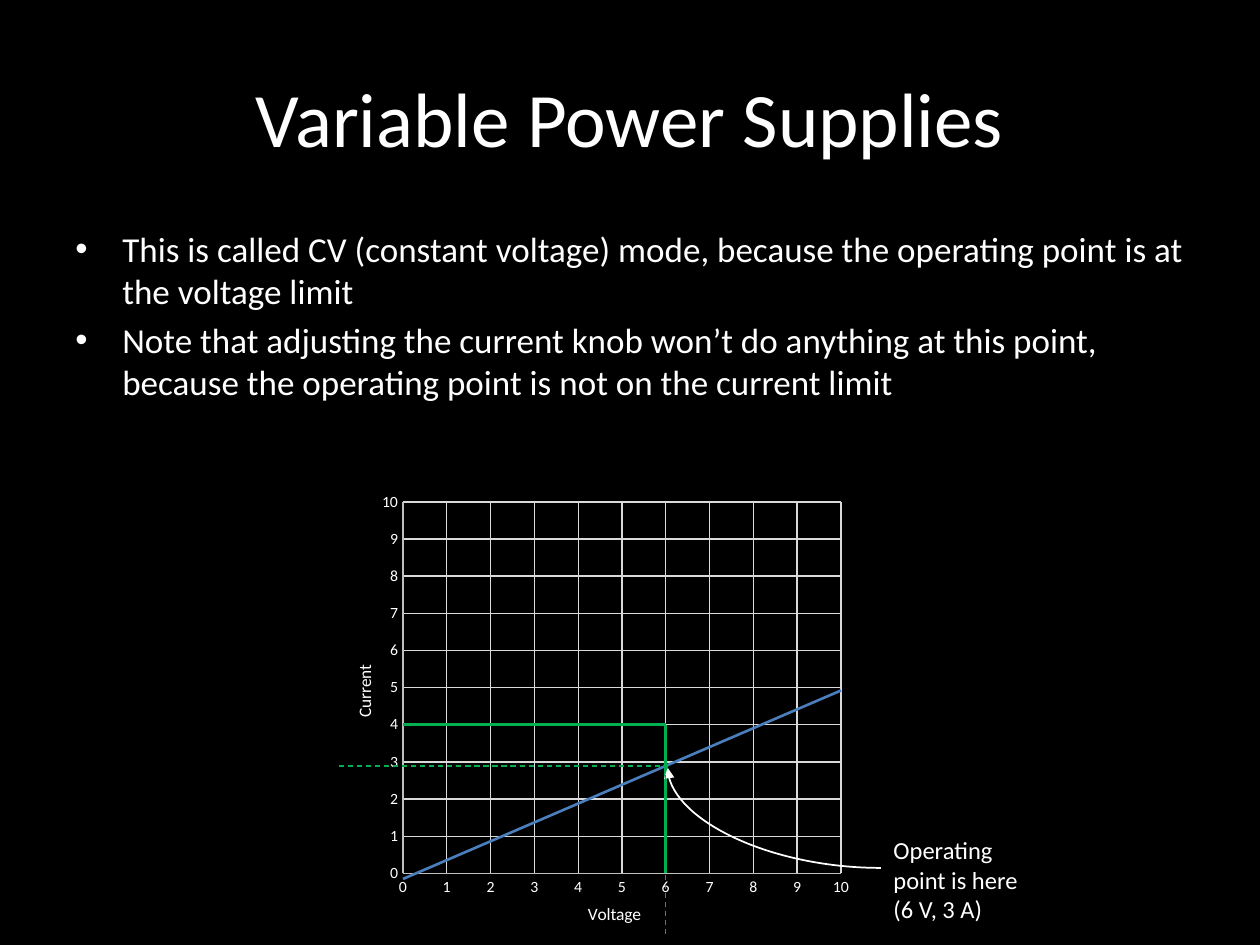
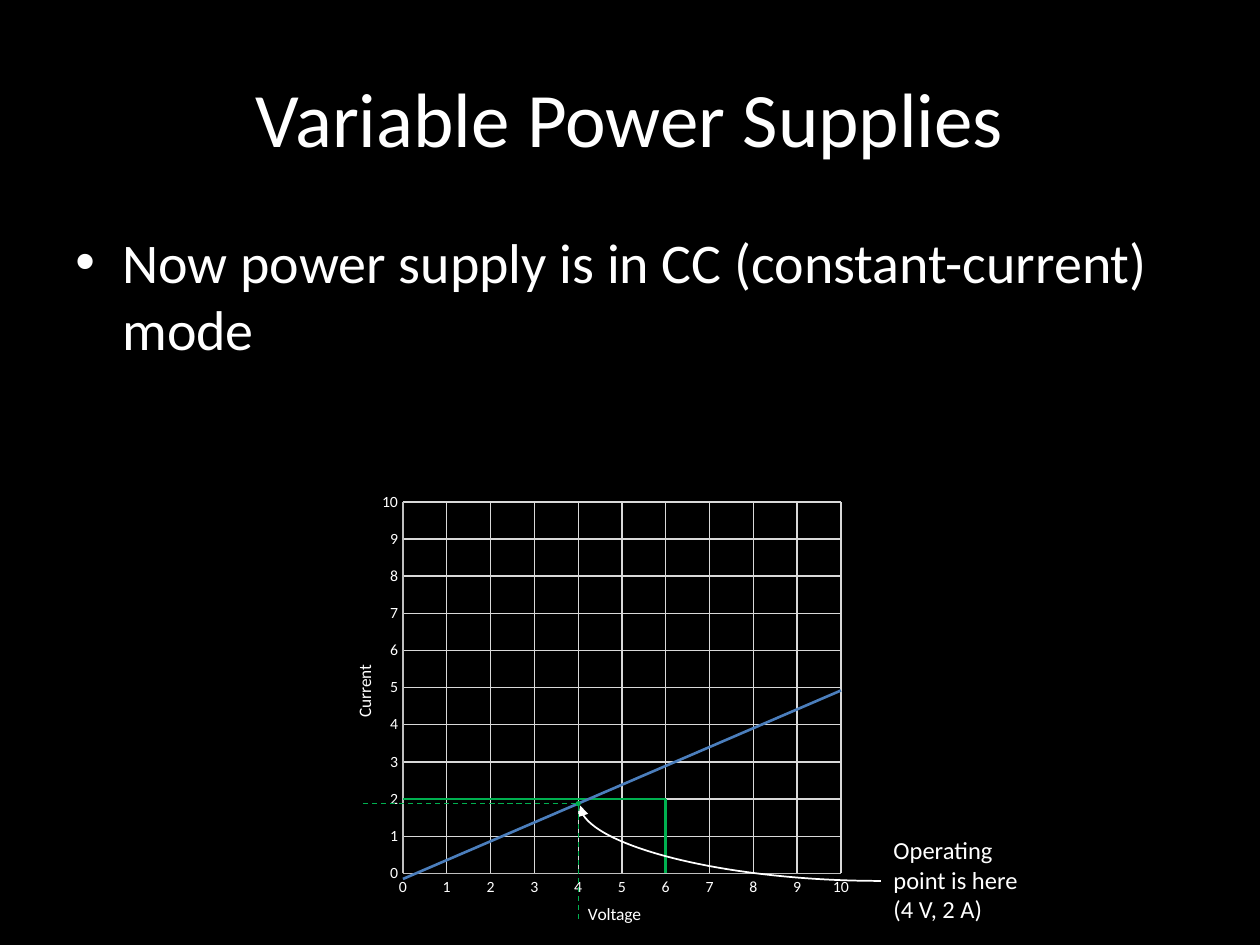
from pptx import Presentation, util as u
from pptx.chart.data import XyChartData
from pptx.dml.color import RGBColor
from pptx.enum import chart as ch, dml, shapes, text
from pptx.oxml import parse_xml
from pptx.oxml.ns import nsdecls, qn
from pptx.oxml.xmlchemy import OxmlElement

SLIDES = [
    dict(title="Variable Power Supplies", body_size=20,
         bullets=["This is called CV (constant voltage) mode, because the operating point is at the voltage limit",
                  "Note that adjusting the current knob won’t do anything at this point, "
                  "because the operating point is not on the current limit"],
         limit=(6, 4), point=(6, 3), callout_y=868, dash_left=339, dash_bottom=934),
    dict(title="Variable Power Supplies", body_size=32,
         bullets=["Now power supply is in CC (constant-current) mode"],
         limit=(6, 2), point=(4, 2), callout_y=881, dash_left=363, dash_bottom=919),
]
LOAD_LINE = (0, 0), (10, 5)
AXIS_MAX = 10

THEME = dict(
    font="Calibri", back="000000", ink="FFFFFF", limit="00B050", load="4B7EBC",
    axis="BFBFBF", grid="D9D9D9",
    title=44, label=14, axis_title=10, tick=9, thick=1.5, arrow=1, thin=0.75,
)

PX = 914400 / 126
SLIDE = 1260, 945
TITLE = 63, 38, 1134, 157
BODY = 63, 221, 1134, 166
CHART = 339, 488, 524, 442
PLOT = 403, 502, 438, 377
LABEL = 881, 829, 155, 102
VOLTAGE_AT = 585, 906
CURRENT_AT = 350, 665
INDENT, DOT = 47, 5


def px(*values):
    return [u.Emu(round(v * PX)) for v in values]


def color(name):
    return RGBColor.from_string(THEME[name])


def set_all(obj, **values):
    for name, value in values.items():
        setattr(obj, name, value)


def style_font(font, size):
    set_all(font, name=THEME["font"], size=u.Pt(size), bold=False)
    font.color.rgb = color("ink")


def style_line(line, name, width):
    line.color.rgb = color(name)
    line.width = u.Pt(THEME[width])


def on_plot(voltage, current):
    x, y, w, h = PLOT
    return x + w * voltage / AXIS_MAX, y + h * (1 - current / AXIS_MAX)


def place_in_chart(parent, x, y, w=None, h=None):
    old = parent.find(qn("c:layout"))
    if old is not None:
        parent.remove(old)
    cx, cy, cw, chh = CHART
    parts = [("xMode", "edge"), ("yMode", "edge"),
             ("x", round((x - cx) / cw, 3)), ("y", round((y - cy) / chh, 3))]
    if w:
        parts = [("layoutTarget", "inner")] + parts + [("w", round(w / cw, 3)), ("h", round(h / chh, 3))]
    inner = "".join(f'<c:{tag} val="{val}"/>' for tag, val in parts)
    layout = parse_xml(f'<c:layout {nsdecls("c")}><c:manualLayout>{inner}</c:manualLayout></c:layout>')
    parent.insert(0 if parent.find(qn("c:tx")) is None else 1, layout)


def add_text(s, box, lines, size, bullet=False):
    sp = s.shapes.add_textbox(*px(*box))
    tf = sp.text_frame
    tf.word_wrap = True
    for i, line in enumerate(lines):
        p = tf.paragraphs[0] if i == 0 else tf.add_paragraph()
        r = p.add_run()
        r.text = line
        style_font(r.font, size)
        if bullet:
            p.space_before = u.Pt(size * 0.2)
            pPr = p._p.get_or_add_pPr()
            indent = px(INDENT)[0]
            pPr.set("marL", str(indent))
            pPr.set("indent", str(-indent))
            for tag, key, value in (("a:buFont", "typeface", "Arial"), ("a:buChar", "char", "•")):
                el = OxmlElement(tag)
                el.set(key, value)
                pPr.append(el)


def add_line(s, start, end, name, width, dash=False, curve=False):
    kind = shapes.MSO_CONNECTOR.CURVE if curve else shapes.MSO_CONNECTOR.STRAIGHT
    c = s.shapes.add_connector(kind, *px(*start, *end))
    style_line(c.line, name, width)
    spPr = c._element.spPr
    if dash:
        c.line.dash_style = dml.MSO_LINE.DASH
    if curve:
        spPr.find(qn("a:prstGeom")).set("prst", "curvedConnector2")
        tail = OxmlElement("a:tailEnd")
        tail.set("type", "triangle")
        spPr.find(qn("a:ln")).append(tail)
    spPr.append(OxmlElement("a:effectLst"))


def add_axis(axis, title, at):
    set_all(axis, minimum_scale=0, maximum_scale=AXIS_MAX, major_unit=1,
            has_major_gridlines=True, has_minor_gridlines=False,
            major_tick_mark=ch.XL_TICK_MARK.NONE, minor_tick_mark=ch.XL_TICK_MARK.NONE)
    style_line(axis.format.line, "axis", "thin")
    style_line(axis.major_gridlines.format.line, "grid", "thin")
    style_font(axis.tick_labels.font, THEME["tick"])
    set_all(axis.tick_labels, number_format="General", number_format_is_linked=False)
    r = axis.axis_title.text_frame.paragraphs[0].add_run()
    r.text = title
    style_font(r.font, THEME["axis_title"])
    el = axis.axis_title._element
    if title == "Current":
        el.find(".//" + qn("a:bodyPr")).set("rot", "-5400000")
    place_in_chart(el, *at)


def add_limit_chart(s, limit):
    volts, amps = limit
    data = XyChartData()
    for name, points in (("Series 1", [(volts, 0), limit]), ("Series 2", [(0, amps), limit])):
        series = data.add_series(name)
        for point in points:
            series.add_data_point(*point)
    kind = ch.XL_CHART_TYPE.XY_SCATTER_SMOOTH_NO_MARKERS
    chart = s.shapes.add_chart(kind, *px(*CHART), data).chart
    set_all(chart, has_legend=False, has_title=False)
    style_font(chart.font, THEME["axis_title"])
    for series in chart.plots[0].series:
        style_line(series.format.line, "limit", "thick")
        series.marker.style = ch.XL_MARKER_STYLE.NONE
    add_axis(chart.category_axis, "Voltage", VOLTAGE_AT)
    add_axis(chart.value_axis, "Current", CURRENT_AT)
    place_in_chart(chart._chartSpace.find(".//" + qn("c:plotArea")), *PLOT)


def add_operating_point(s, point, callout_y, dash_left, dash_bottom):
    x, y = on_plot(*point)
    add_line(s, *(on_plot(*end) for end in LOAD_LINE), "load", "thick")
    dot = s.shapes.add_shape(shapes.MSO_SHAPE.OVAL, *px(x - DOT / 2, y - DOT / 2, DOT, DOT))
    dot.shadow.inherit = False
    dot.fill.solid()
    dot.fill.fore_color.rgb = color("limit")
    dot.line.fill.background()
    add_line(s, (LABEL[0], callout_y), (x + 2, y + 2), "ink", "arrow", curve=True)
    volts, amps = point
    add_text(s, LABEL, ["Operating point is here", f"({volts} V, {amps} A)"], THEME["label"])
    add_line(s, (dash_left, y), (x, y), "limit", "thin", dash=True)
    add_line(s, (x, dash_bottom), (x, y), "limit", "thin", dash=True)


def add_title(s, words):
    sp = s.shapes.title
    set_all(sp, **dict(zip(("left", "top", "width", "height"), px(*TITLE))))
    tf = sp.text_frame
    tf.text = words
    tf.vertical_anchor = text.MSO_ANCHOR.MIDDLE
    p = tf.paragraphs[0]
    p.alignment = text.PP_ALIGN.CENTER
    style_font(p.runs[0].font, THEME["title"])


def main():
    prs = Presentation()
    prs.slide_width, prs.slide_height = px(*SLIDE)
    fill = prs.slide_master.background.fill
    fill.solid()
    fill.fore_color.rgb = color("back")
    for item in SLIDES:
        s = prs.slides.add_slide(prs.slide_layouts[5])
        add_title(s, item["title"])
        add_text(s, BODY, item["bullets"], item["body_size"], bullet=True)
        add_limit_chart(s, item["limit"])
        add_operating_point(s, item["point"], item["callout_y"], item["dash_left"], item["dash_bottom"])
    prs.save("out.pptx")


if __name__ == "__main__":
    main()
